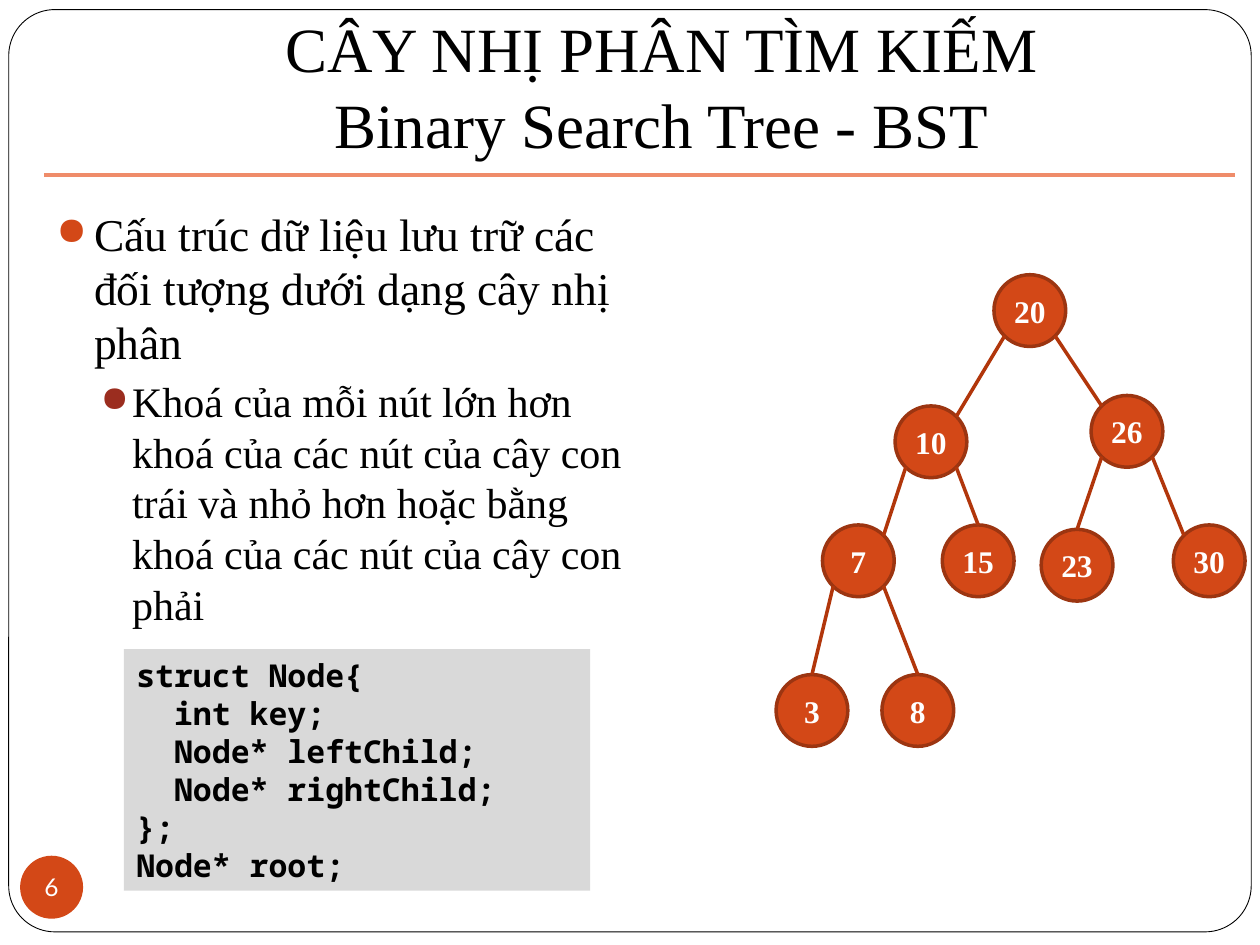
from lxml import etree
from pptx import Presentation
from pptx.dml.color import RGBColor
from pptx.enum.shapes import MSO_CONNECTOR, MSO_SHAPE as SHAPE
from pptx.enum.text import MSO_ANCHOR as ANCHOR, PP_ALIGN as ALIGN
from pptx.oxml.ns import qn
from pptx.util import Pt

COLORS = {
    "black": "000000", "white": "FFFFFF", "orange": "D34817", "rim": "9C3511",
    "edge": "B1360B", "rule": "EF8C6A", "bullet2": "9B2D1F", "code": "D9D9D9",
}
RGB = {name: RGBColor.from_string(value) for name, value in COLORS.items()}
SERIF = "Times New Roman"
NODE = 41

prs = Presentation()
prs.slide_width, prs.slide_height = Pt(720), Pt(540)
s = prs.slides.add_slide(prs.slide_layouts[6])


def add_box(kind, box, fill=None, line=None, width=1, text="", font=SERIF, size=18,
            color="black", bold=False, align=ALIGN.LEFT, spacing=None,
            anchor=ANCHOR.TOP, insets=(7.2, 3.6, 7.2, 3.6)):
    box = [Pt(v) for v in box]
    sp = s.shapes.add_shape(kind, *box) if kind else s.shapes.add_textbox(*box)
    if kind:
        sp.shadow.inherit = False
        sp.fill.solid()
        sp.fill.fore_color.rgb = RGB[fill]
        if line:
            sp.line.color.rgb = RGB[line]
            sp.line.width = Pt(width)
        else:
            sp.line.fill.background()
    tf = sp.text_frame
    tf.word_wrap = True
    tf.vertical_anchor = anchor
    tf.margin_left, tf.margin_top, tf.margin_right, tf.margin_bottom = map(Pt, insets)
    tf.text = text
    for p in tf.paragraphs:
        p.alignment = align
        p.font.name, p.font.size, p.font.bold = font, Pt(size), bold
        p.font.color.rgb = RGB[color]
        if spacing:
            p.line_spacing = Pt(spacing)
    return sp


def add_line(x1, y1, x2, y2, color):
    c = s.shapes.add_connector(MSO_CONNECTOR.STRAIGHT, Pt(x1), Pt(y1), Pt(x2), Pt(y2))
    c.line.color.rgb = RGB[color]
    c.line.width = Pt(2)
    etree.SubElement(c._element.spPr, qn("a:effectLst"))


frame = add_box(SHAPE.ROUNDED_RECTANGLE, (5, 5.5, 710, 527), "white", "black", 0.5)
frame.adjustments[0] = 0.05

add_box(None, (72, 9.5, 612, 90), text="CÂY NHỊ PHÂN TÌM KIẾM\vBinary Search Tree - BST",
        size=36, align=ALIGN.CENTER, spacing=43.4, anchor=ANCHOR.BOTTOM,
        insets=(7.2, 3.6, 7.2, 7.2))
add_line(25.2, 100, 705.6, 100, "rule")

badge = add_box(SHAPE.OVAL, (11.5, 489, 36, 36), "orange", text="6", font="Lato", size=14,
                color="white", align=ALIGN.CENTER, anchor=ANCHOR.MIDDLE, insets=(0, 0, 0, 0))
badge.text_frame.word_wrap = False

points = [
    ("Cấu trúc dữ liệu lưu trữ các đối tượng dưới dạng cây nhị phân",
     0, 26, 31.1, 5.8, 21.6, 21.6, "orange"),
    ("Khoá của mỗi nút lớn hơn khoá của các nút của cây con trái và nhỏ hơn "
     "hoặc bằng khoá của các nút của cây con phải",
     1, 24, 28.9, 3.7, 43.2, 18, "bullet2"),
]
body = add_box(None, (25.2, 114, 340, 394), text="\n".join(point[0] for point in points))
for p, (_, level, size, spacing, before, left, hang, color) in zip(
        body.text_frame.paragraphs, points):
    p.level = level
    p.font.size = Pt(size)
    p.line_spacing, p.space_before = Pt(spacing), Pt(before)
    pPr = p._p.get_or_add_pPr()
    pPr.set("marL", str(Pt(left)))
    pPr.set("indent", str(-Pt(hang)))
    bullet = [etree.Element(qn(tag)) for tag in ("a:buClr", "a:buSzPct", "a:buChar")]
    etree.SubElement(bullet[0], qn("a:srgbClr")).set("val", COLORS[color])
    bullet[1].set("val", "85000")
    bullet[2].set("char", "●")
    at = list(pPr).index(pPr.find(qn("a:defRPr")))
    for i, element in enumerate(bullet):
        pPr.insert(at + i, element)

nodes = {
    20: (568, 157), 10: (511.5, 232), 26: (623.5, 226), 7: (470, 300), 15: (538.5, 300),
    23: (595, 302.5), 30: (670.5, 300), 3: (443.5, 385.5), 8: (504, 385.5),
}
for key, (x, y) in nodes.items():
    add_box(SHAPE.FLOWCHART_CONNECTOR, (x, y, NODE, NODE), "orange", "rim", 2, str(key),
            color="white", bold=True, align=ALIGN.CENTER, anchor=ANCHOR.MIDDLE,
            insets=(0, 0, 0, 0))

NEAR, MID, FAR = 0.15, 0.5, 0.85
edges = [
    (20, 10, NEAR, FAR), (20, 26, FAR, NEAR), (10, 7, NEAR, FAR), (10, 15, FAR, MID),
    (26, 23, NEAR, MID), (26, 30, FAR, NEAR), (7, 3, NEAR, MID), (7, 8, FAR, MID),
]
for parent, child, start, end in edges:
    (px, py), (cx, cy) = nodes[parent], nodes[child]
    top = 0 if end == MID else NEAR
    add_line(px + start * NODE, py + FAR * NODE, cx + end * NODE, cy + top * NODE, "edge")

code = """struct Node{
  int key;
  Node* leftChild;
  Node* rightChild;
};
Node* root;"""
add_box(SHAPE.RECTANGLE, (70.8, 371, 266.4, 138), "code", text=code,
        font="Noto Sans Mono", bold=True, spacing=21.7)

prs.save("out.pptx")
